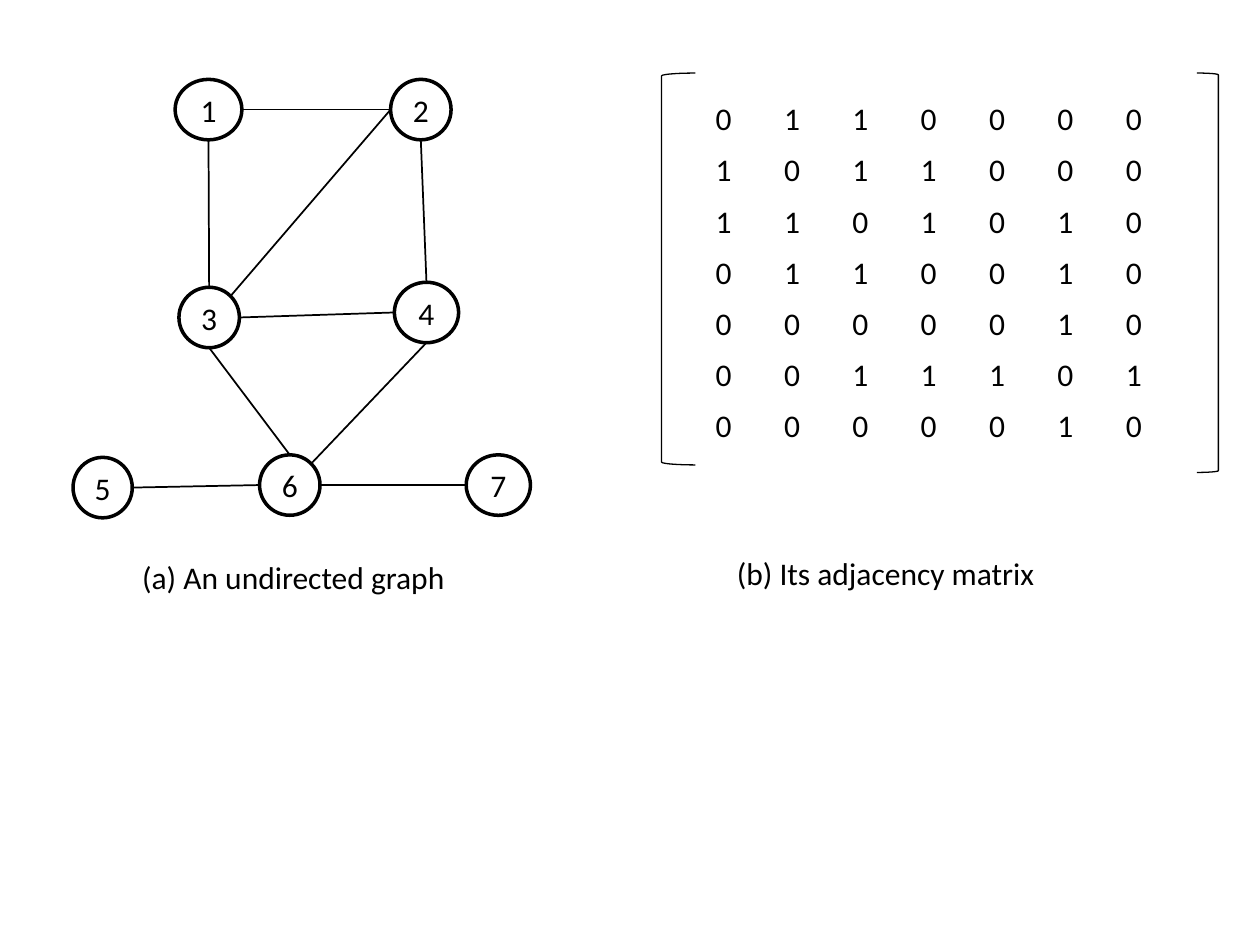
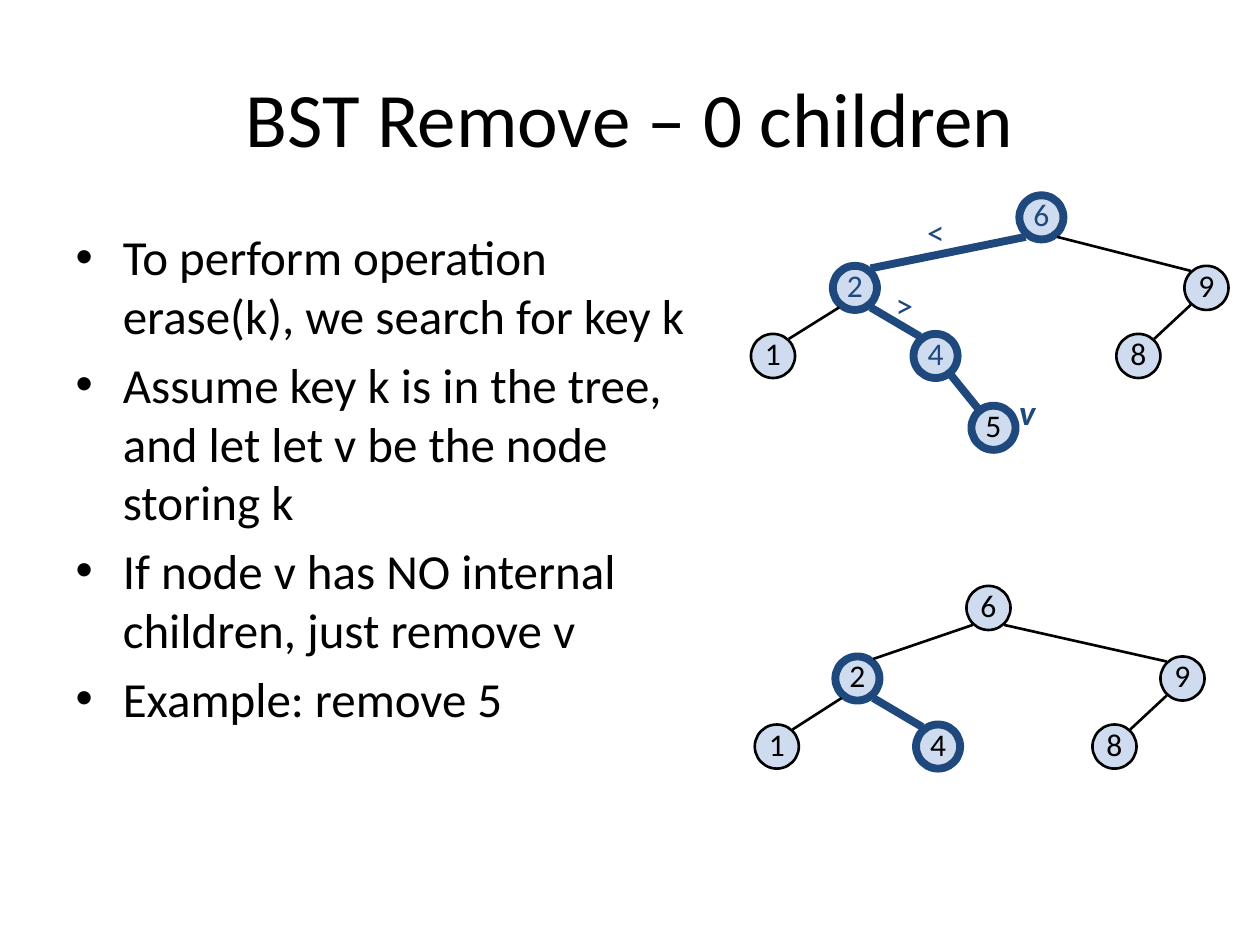
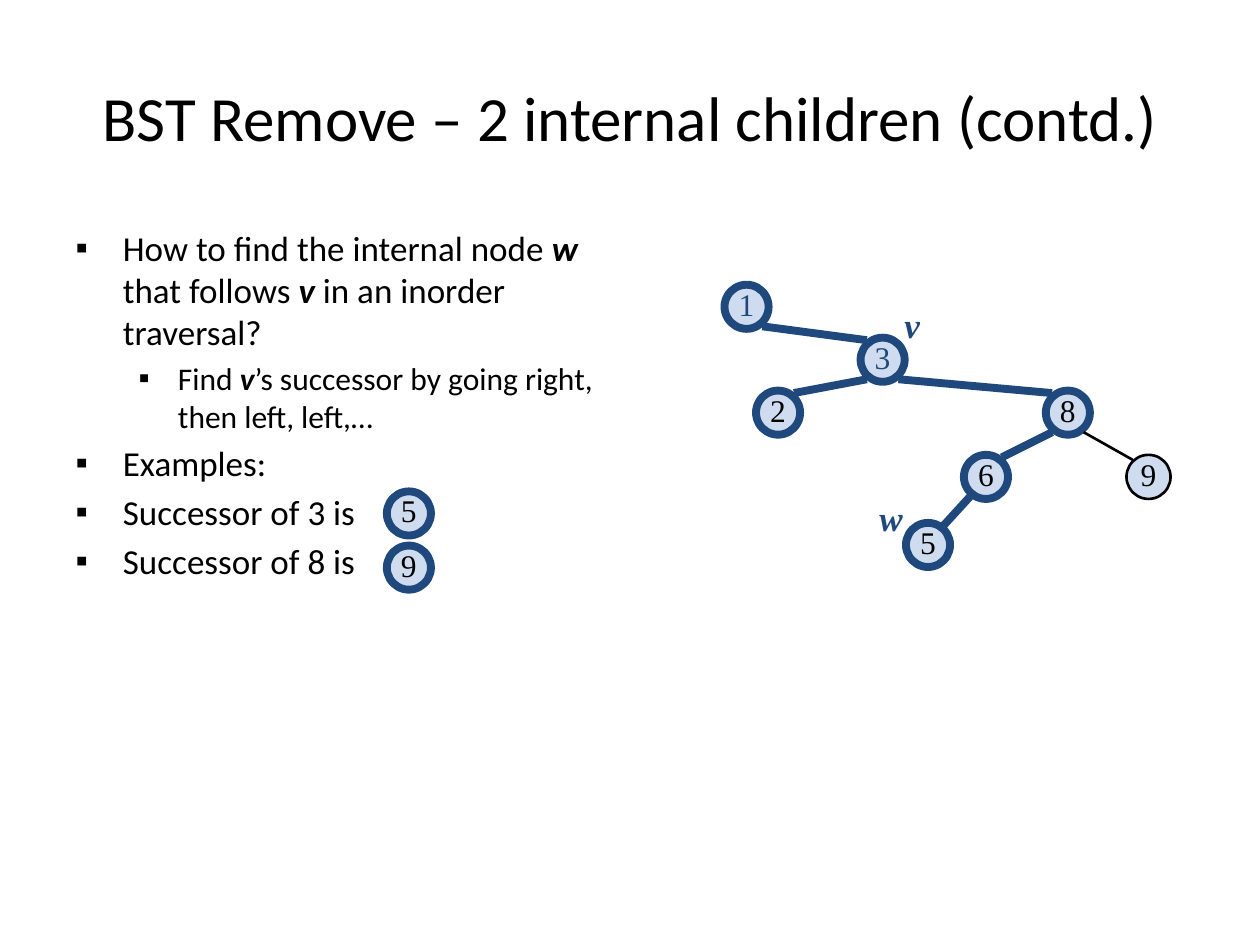
"""Builds three slides on graphs and removal from binary search trees."""
import pptx
import pptx.util
import pptx.dml.color
import pptx.enum.shapes
import pptx.enum.text
import pptx.oxml
import pptx.oxml.ns

Inches = pptx.util.Inches
Pt = pptx.util.Pt
SHAPE = pptx.enum.shapes.MSO_SHAPE
ALIGN = pptx.enum.text.PP_ALIGN
ANCHOR = pptx.enum.text.MSO_ANCHOR
COLORS = {"black": "000000", "navy": "1F497D", "pale": "CFDCF0"}
SANS, SERIF = "Calibri", "Times New Roman"
NODE = 0.35
THIN, THICK = 1.5, 4.5
NODE_STYLES = {
    "plain": ("black", THIN, "black"),
    "path": ("navy", THICK, "black"),
    "visited": ("navy", THICK, "navy"),
}
SITES = {
    "top": (0.5, 0), "bottom": (0.5, 1), "left": (0, 0.5), "right": (1, 0.5),
    "top right": (0.85, 0.15),
}


def rgb(name):
    """Return the named colour."""
    return pptx.dml.color.RGBColor.from_string(COLORS[name])


def add_text(p, text, size=18, color="black", font=SANS, bold=False, italic=False):
    """Add a formatted run to a paragraph."""
    r = p.add_run()
    r.text = text
    r.font.size, r.font.name = Pt(size), font
    r.font.bold, r.font.italic = bold, italic
    r.font.color.rgb = rgb(color)


class Deck:
    """Holds the presentation style and the current slide."""

    def __init__(self):
        """Start an empty presentation."""
        self.prs = pptx.Presentation()
        self.prs.slide_width, self.prs.slide_height = Inches(10), Inches(7.5)
        self.slide = None

    def new_slide(self, title=None, size=44):
        """Add a slide, blank or with a title and a body."""
        layout = self.prs.slide_layouts[1 if title else 6]
        self.slide = self.prs.slides.add_slide(layout)
        if title:
            sp = self.slide.shapes.title
            self.place(sp, 0.5, 0.3, 9, 1.25)
            add_text(sp.text_frame.paragraphs[0], title, size=size)

    def place(self, sp, x, y, w, h):
        """Move and size a shape."""
        sp.left, sp.top, sp.width, sp.height = map(Inches, (x, y, w, h))

    def bullets(self, width, items, char):
        """Fill the body with (level, size, runs) items; odd runs are emphasised."""
        sp = self.slide.placeholders[1]
        self.place(sp, 0.5, 1.75, width, 4.95)
        tf = sp.text_frame
        tf.auto_size = pptx.enum.text.MSO_AUTO_SIZE.NONE
        for i, (level, size, runs) in enumerate(items):
            p = tf.add_paragraph() if i else tf.paragraphs[0]
            p.level = level
            pPr = p._p.get_or_add_pPr()
            bullet = pptx.oxml.parse_xml(
                f'<a:buChar {pptx.oxml.ns.nsdecls("a")} char="{char}"/>')
            pPr.append(bullet)
            for j, text in enumerate(runs):
                add_text(p, text, size=size, bold=j % 2 == 1, italic=j % 2 == 1)

    def shape(self, kind, x, y, w, h, line="black", width=0.75, fill=None):
        """Add a preset shape."""
        sp = self.slide.shapes.add_shape(kind, *map(Inches, (x, y, w, h)))
        sp.shadow.inherit = False
        if fill:
            sp.fill.solid()
            sp.fill.fore_color.rgb = rgb(fill)
        else:
            sp.fill.background()
        sp.line.color.rgb, sp.line.width = rgb(line), Pt(width)
        return sp

    def circle(self, text, box, insets, wrap, color="black", font=SANS, **style):
        """Add an ellipse with centred text."""
        tf = self.shape(SHAPE.OVAL, *box, **style).text_frame
        tf.margin_left, tf.margin_top, tf.margin_right, tf.margin_bottom = map(Inches, insets)
        tf.word_wrap, tf.vertical_anchor = wrap, ANCHOR.MIDDLE
        p = tf.paragraphs[0]
        p.alignment = ALIGN.CENTER
        add_text(p, text, color=color, font=font)

    def line(self, start, end, color="black", width=1):
        """Add a straight line."""
        cx = self.slide.shapes.add_connector(
            pptx.enum.shapes.MSO_CONNECTOR.STRAIGHT, *map(Inches, (*start, *end)))
        cx.line.color.rgb, cx.line.width = rgb(color), Pt(width)
        cx._element.spPr.append(
            pptx.oxml.parse_xml(f'<a:effectLst {pptx.oxml.ns.nsdecls("a")}/>'))

    def label(self, text, x, y, w, h, wrap=False, **fmt):
        """Add a text box."""
        sp = self.slide.shapes.add_textbox(*map(Inches, (x, y, w, h)))
        sp.text_frame.word_wrap = wrap
        add_text(sp.text_frame.paragraphs[0], text, **fmt)

    def tree_node(self, text, x, y, style, font=SANS):
        """Add a tree node in one of the node styles."""
        line, width, color = NODE_STYLES[style]
        self.circle(text, (x, y, NODE, NODE), (0, 0, 0, 0.05), False,
                    color=color, font=font, line=line, width=width, fill="pale")

    def tree(self, nodes, font=SANS):
        """Draw a tree from {key: (x, y, parent, style)}."""
        for key, (x, y, parent, style) in nodes.items():
            self.tree_node(key, x, y, style, font)
        for x, y, parent, style in nodes.values():
            if parent:
                px, py, _, parent_style = nodes[parent]
                side = 0.125 if x > px else -0.125
                drop = {s: 0.135 if s == "plain" else 0.155 for s in (style, parent_style)}
                mid = NODE / 2
                color, width = ("black", THIN) if "plain" in drop else ("navy", THICK)
                self.line((px + mid + side, py + mid + drop[parent_style]),
                          (x + mid - side, y + mid - drop[style]), color, width)

    def graph(self, nodes, edges):
        """Draw a graph from {key: box} and (key, site, key, site) edges."""
        for key, box in nodes.items():
            self.circle(key, box, [0.02] * 4, True, width=2)

        def point(key, site):
            x, y, w, h = nodes[key]
            fx, fy = SITES[site]
            return x + w * fx, y + h * fy

        for a, site_a, b, site_b in edges:
            self.line(point(a, site_a), point(b, site_b))

    def matrix(self, rows, x, y, w, h):
        """Add an unfilled table of single digits."""
        table = self.slide.shapes.add_table(
            len(rows), len(rows[0]), *map(Inches, (x, y, w, h))).table
        table.first_row = table.horz_banding = False
        for i, row in enumerate(rows):
            for j, digit in enumerate(row):
                cell = table.cell(i, j)
                cell.fill.background()
                add_text(cell.text_frame.paragraphs[0], digit)


def graph_slide(deck):
    """Show an undirected graph beside its adjacency matrix."""
    deck.new_slide()
    deck.graph(
        {"1": (1.39, 0.63, 0.53, 0.48), "2": (3.1, 0.63, 0.48, 0.48),
         "3": (1.42, 2.28, 0.48, 0.48), "4": (3.13, 2.24, 0.51, 0.48),
         "5": (0.58, 3.63, 0.47, 0.48), "6": (2.06, 3.61, 0.48, 0.48),
         "7": (3.7, 3.61, 0.51, 0.48)},
        [("1", "bottom", "3", "top"), ("1", "right", "2", "left"),
         ("6", "left", "5", "right"), ("4", "left", "3", "right"),
         ("4", "bottom", "6", "top right"), ("3", "top right", "2", "left"),
         ("4", "top", "2", "bottom"), ("6", "top", "3", "bottom"),
         ("6", "right", "7", "left")])
    deck.matrix(["0110000", "1011000", "1101010", "0110010",
                 "0000010", "0011101", "0000010"], 5.58, 0.75, 3.8, 2.8)
    deck.shape(SHAPE.LEFT_BRACKET, 5.25, 0.58, 0.27, 3.11)
    deck.shape(SHAPE.RIGHT_BRACKET, 9.5, 0.58, 0.17, 3.17)
    deck.label("(a) An undirected graph", 1.03, 4.38, 3, 0.4, wrap=True)
    deck.label("(b) Its adjacency matrix", 5.75, 4.35, 3, 0.4, wrap=True)


def leaf_slide(deck):
    """Show the removal of a node without children."""
    deck.new_slide("BST Remove – 0 children")
    deck.bullets(5.35, [(0, 28, [text]) for text in (
        "To perform operation erase(k), we search for key k",
        "Assume key k is in the tree, and let let v be the node storing k",
        "If node v has NO internal children, just remove v",
        "Example: remove 5")], "•")
    deck.tree({
        "6": (7.67, 4.65, None, "plain"), "9": (9.21, 5.21, "6", "plain"),
        "2": (6.63, 5.21, "6", "path"), "4": (7.27, 5.75, "2", "path"),
        "1": (5.99, 5.75, "2", "plain"), "8": (8.67, 5.75, "9", "plain")})
    deck.tree({
        "6": (8.09, 1.55, None, "visited"), "9": (9.4, 2.11, "6", "plain"),
        "2": (6.61, 2.11, "6", "visited"), "4": (7.25, 2.65, "2", "visited"),
        "1": (5.96, 2.65, "2", "plain"), "8": (8.86, 2.65, "9", "plain"),
        "5": (7.71, 3.22, "4", "path")})
    deck.label("v", 7.99, 3.05, 0.42, 0.44, size=20, color="navy", bold=True, italic=True)
    for sign, x, y in (("<", 7.26, 1.62), (">", 7.01, 2.2)):
        deck.label(sign, x, y, 0.39, 0.44, size=20, color="navy")


def successor_slide(deck):
    """Show how to find the inorder successor of a node."""
    deck.new_slide("BST Remove – 2 internal children (contd.)", size=36)
    deck.bullets(4.67, [
        (0, 20, ["How to find the internal node ", "w ", "that follows ", "v",
                 " in an inorder traversal?"]),
        (1, 18, ["Find ", "v", "’s successor by going right, then left, left,…"]),
        (0, 20, ["Examples:"]),
        (0, 20, ["Successor of 3 is"]),
        (0, 20, ["Successor of 8 is"])], "▪")
    for answer, y in (("5", 3.9), ("9", 4.33)):
        deck.tree_node(answer, 3.07, y, "path", SERIF)
    deck.tree({
        "1": (5.75, 2.26, None, "visited"), "3": (6.83, 2.68, "1", "visited"),
        "2": (6, 3.1, "3", "path"), "8": (8.3, 3.1, "3", "path"),
        "6": (7.65, 3.61, "8", "path"), "9": (8.94, 3.61, "8", "plain"),
        "5": (7.19, 4.15, "6", "path")}, SERIF)
    for name, x, y, w in (("v", 7.08, 2.36, 0.32), ("w", 6.88, 3.89, 0.39)):
        deck.label(name, x, y, w, 0.43, size=20, color="navy", font=SERIF,
                   bold=True, italic=True)


def main():
    """Build and save the slides."""
    deck = Deck()
    graph_slide(deck)
    leaf_slide(deck)
    successor_slide(deck)
    deck.prs.save("out.pptx")


if __name__ == "__main__":
    main()
